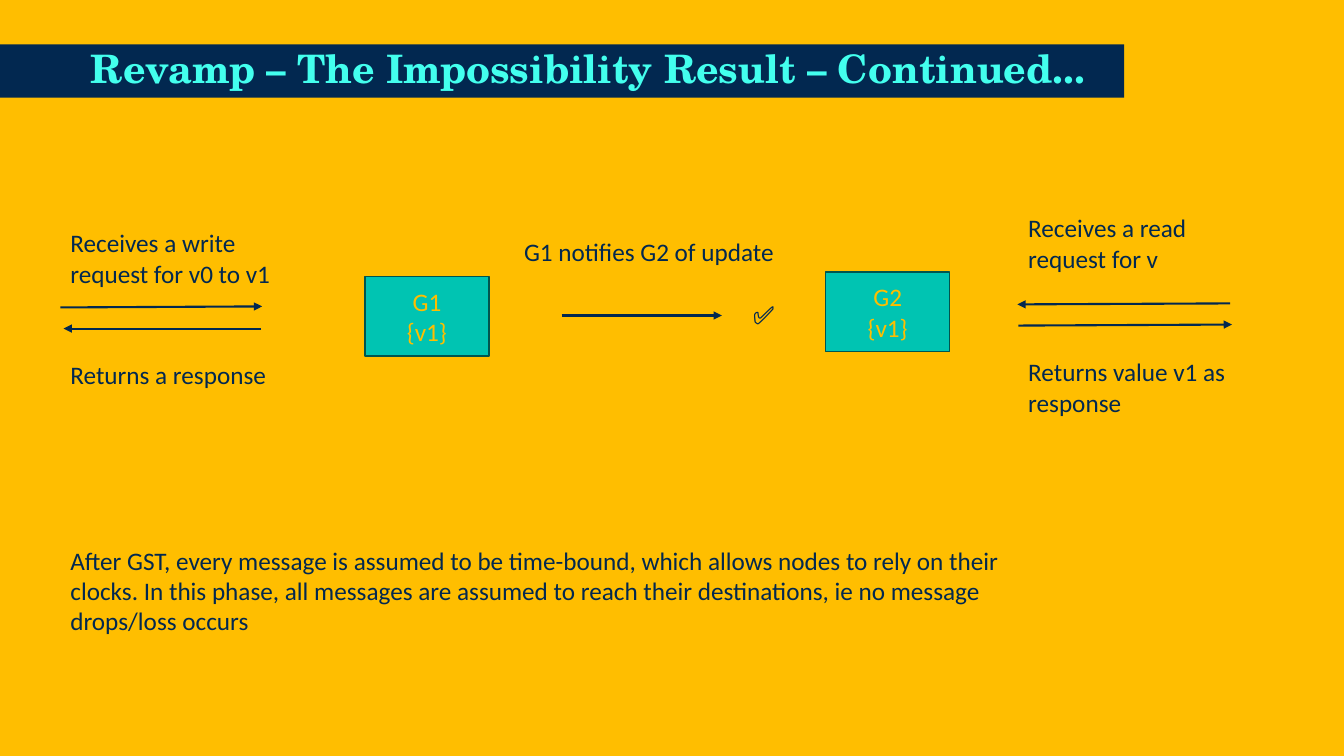
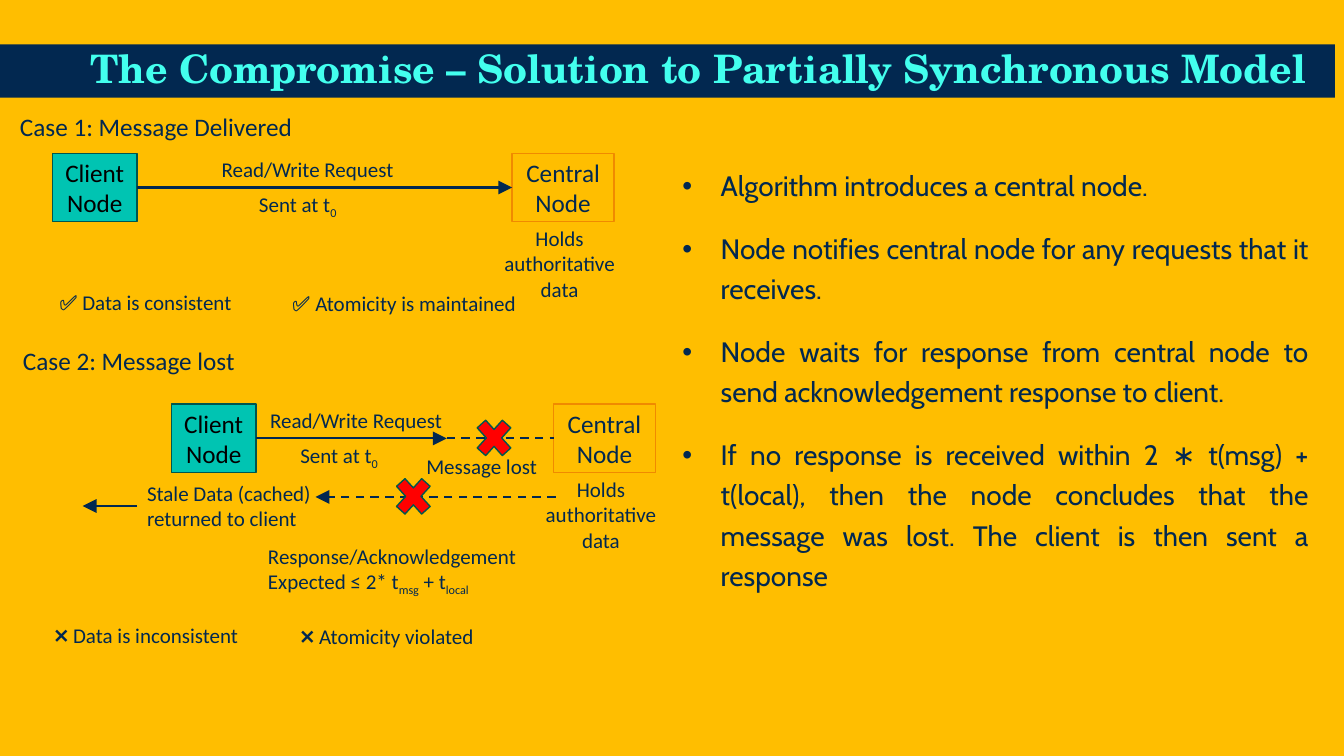
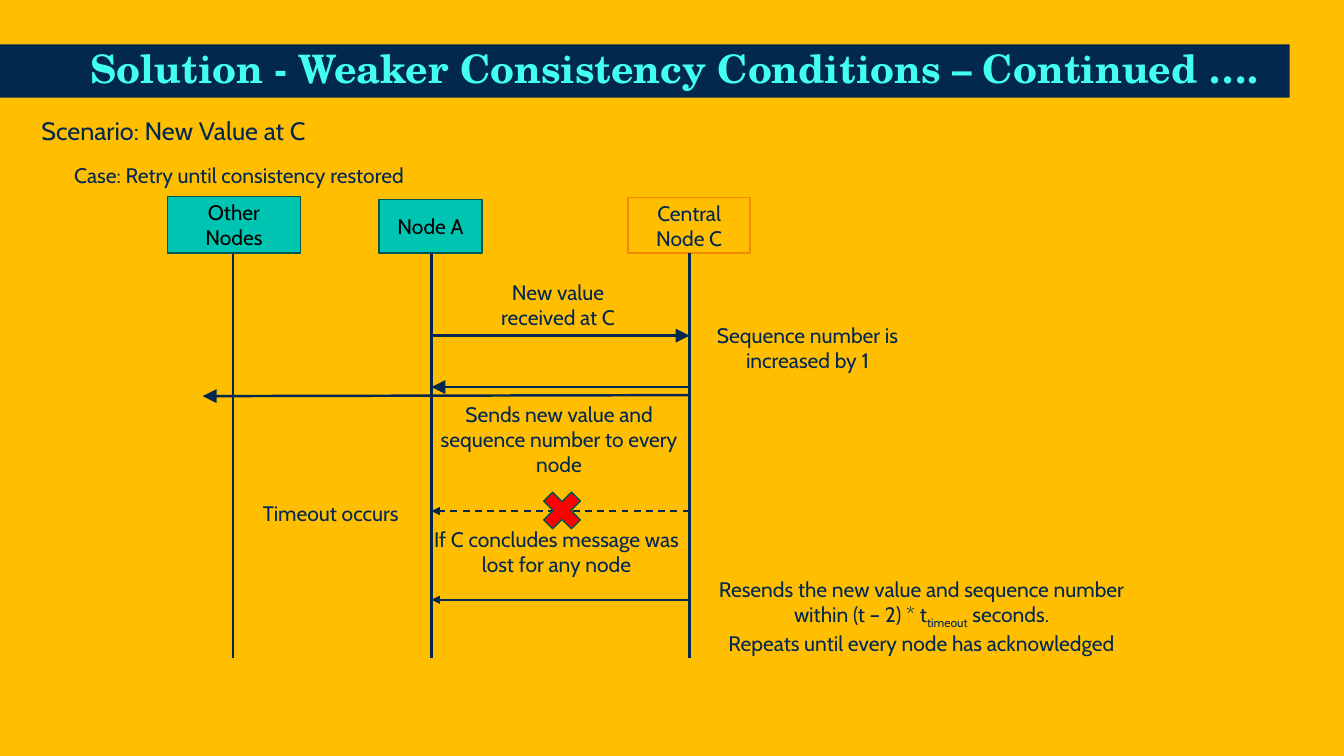
"""Build three slides on atomic reads and writes in partially synchronous networks."""
from dataclasses import dataclass
from typing import Any, NamedTuple

from lxml.etree import SubElement
from pptx import Presentation
from pptx.dml.color import RGBColor as Rgb
from pptx.enum.dml import MSO_LINE_DASH_STYLE as Dash
from pptx.enum.shapes import MSO_CONNECTOR as Connector, MSO_SHAPE as Preset
from pptx.enum.text import MSO_ANCHOR as Anchor, MSO_AUTO_SIZE as AutoSize, PP_ALIGN as Align
from pptx.oxml.ns import qn
from pptx.util import Inches, Pt


@dataclass(frozen=True)
class Theme:
    """Hold the colours, fonts and type sizes of the deck."""
    gold: Rgb = Rgb(0xFF, 0xBE, 0x00)
    navy: Rgb = Rgb(0x02, 0x28, 0x50)
    aqua: Rgb = Rgb(0x43, 0xFF, 0xEE)
    teal: Rgb = Rgb(0x00, 0xC4, 0xB2)
    pine: Rgb = Rgb(0x00, 0x56, 0x4E)
    orange: Rgb = Rgb(0xF0, 0x8A, 0x00)
    red: Rgb = Rgb(0xFF, 0x00, 0x00)
    black: Rgb = Rgb(0x00, 0x00, 0x00)
    display: str = "TeX Gyre Schola"
    diagram: str = "Calibri"
    body: str = "Cabin"
    title_size: int = 28
    bullet_size: int = 20
    label_size: int = 18
    small_size: int = 15


THEME = Theme()


class Area(NamedTuple):
    """Give left, top, width and height in inches."""
    left: float
    top: float
    width: float
    height: float


class Style(NamedTuple):
    """Describe how a text looks."""
    font: str
    size: int
    colour: Rgb = THEME.navy
    align: Align = Align.LEFT
    bold: bool = False


class Label(NamedTuple):
    """Pair a text, with subscripts between bars, and its area."""
    text: str
    area: Area


class Paint(NamedTuple):
    """Describe a fill and an outline."""
    fill: Rgb
    line: Rgb


class Arrow(NamedTuple):
    """Describe a line whose head, if any, is at its end."""
    start: tuple[float, float]
    end: tuple[float, float]
    width: float = 1.5
    head: str | None = "med"
    dashed: bool = False


TITLE = Style(THEME.display, THEME.title_size, THEME.aqua, bold=True)
BULLET = Style(THEME.body, THEME.bullet_size, align=Align.JUSTIFY)
LARGE = Style(THEME.diagram, THEME.label_size)
SMALL = Style(THEME.diagram, THEME.small_size)
LARGE_MID = LARGE._replace(align=Align.CENTER)
SMALL_MID = SMALL._replace(align=Align.CENTER)
STEP = SMALL_MID._replace(font=THEME.body)
SCENARIO = LARGE_MID._replace(font=THEME.body)
PEER = Paint(THEME.teal, THEME.pine)
CENTRAL = Paint(THEME.gold, THEME.orange)
CROSS = Paint(THEME.red, THEME.pine)


def apply(target: Any, values: dict[str, Any]) -> None:
    """Set each named attribute of the target."""
    for name, value in values.items():
        setattr(target, name, value)


def write(frame: Any, text: str, style: Style) -> None:
    """Fill a text frame, one paragraph a line."""
    for index, line in enumerate(text.split("\n")):
        para = frame.add_paragraph() if index else frame.paragraphs[0]
        para.alignment = style.align
        for order, part in enumerate(line.split("|")):
            if not part:
                continue
            span = para.add_run()
            span.text = part
            apply(span.font, {"name": style.font, "size": Pt(style.size), "bold": style.bold})
            span.font.color.rgb = style.colour
            if order % 2:
                span.font._element.set("baseline", "-25000")


def add_text(page: Any, label: Label, style: Style) -> Any:
    """Add a wrapped text box that fits its text."""
    box = page.shapes.add_textbox(*map(Inches, label.area))
    apply(box.text_frame, {"word_wrap": True, "auto_size": AutoSize.SHAPE_TO_FIT_TEXT})
    write(box.text_frame, label.text, style)
    return box


def add_labels(page: Any, labels: list[Label], style: Style) -> None:
    """Add several text boxes of one style."""
    for label in labels:
        add_text(page, label, style)


def add_preset(page: Any, preset: Preset, area: Area, paint: Paint) -> Any:
    """Add a painted preset shape."""
    shape = page.shapes.add_shape(preset, *map(Inches, area))
    shape.shadow.inherit = False
    shape.fill.solid()
    shape.fill.fore_color.rgb = paint.fill
    shape.line.color.rgb = paint.line
    shape.line.width = Pt(1)
    return shape


def add_node(page: Any, label: Label, paint: Paint, style: Style) -> None:
    """Add a node box with centred text."""
    node = add_preset(page, Preset.RECTANGLE, label.area, paint)
    apply(node.text_frame, {"word_wrap": True, "vertical_anchor": Anchor.MIDDLE})
    write(node.text_frame, label.text, style)


def add_arrows(page: Any, arrows: list[Arrow]) -> None:
    """Add straight lines with optional heads and dashes."""
    for arrow in arrows:
        line = page.shapes.add_connector(
            Connector.STRAIGHT, *map(Inches, (*arrow.start, *arrow.end)))
        line.line.color.rgb = THEME.navy
        line.line.width = Pt(arrow.width)
        if arrow.dashed:
            line.line.dash_style = Dash.DASH
        if arrow.head:
            SubElement(line.line._get_or_add_ln(), qn("a:tailEnd"),
                       type="triangle", w=arrow.head, len=arrow.head)
        SubElement(line._element.spPr, qn("a:effectLst"))


def add_page(deck: Any, title: str, band_width: float) -> Any:
    """Add a blank page with its title band."""
    page = deck.slides.add_slide(deck.slide_layouts[6])
    band = add_text(page, Label(title, Area(0, 0.44, band_width, 0.53)), TITLE)
    band.fill.solid()
    band.fill.fore_color.rgb = THEME.navy
    apply(band.text_frame, {
        "word_wrap": False, "vertical_anchor": Anchor.MIDDLE,
        "margin_left": Inches(0.9), "margin_right": Inches(0.2)})
    band.text_frame.paragraphs[0].line_spacing = 0.9
    return page


def add_bullets(page: Any, label: Label) -> None:
    """Add a justified bullet list."""
    box = page.shapes.add_textbox(*map(Inches, label.area))
    box.text_frame.word_wrap = True
    write(box.text_frame, label.text, BULLET)
    for para in box.text_frame.paragraphs:
        apply(para, {"line_spacing": 1.2, "space_after": Pt(16)})
        properties = para._p.get_or_add_pPr()
        properties.set("marL", str(Inches(0.38)))
        properties.set("indent", str(-Inches(0.38)))
        SubElement(properties, qn("a:buFont"), typeface="Arial")
        SubElement(properties, qn("a:buChar"), char="•")


def add_request(page: Any, client: float, central: float, caption: float,
                reach: float, top: float) -> None:
    """Add a client node, its request and the central node."""
    middle = top + 0.34
    add_node(page, Label("Client Node", Area(client, top, 0.84, 0.68)), PEER,
             LARGE_MID._replace(colour=THEME.black))
    add_node(page, Label("Central Node", Area(central, top, 1.01, 0.68)), CENTRAL, LARGE_MID)
    add_arrows(page, [Arrow((client + 0.84, middle), (reach, middle), head="lg")])
    add_labels(page, [
        Label("Read/Write Request", Area(caption, top - 0.02, 1.95, 0.35)),
        Label("Sent at t|0|", Area(central - 2.61, top + 0.33, 1.01, 0.35)),
    ], SMALL)
    add_text(page, Label("Holds authoritative data",
                         Area(central - 0.2, top + 0.67, 1.34, 0.86)), SMALL_MID)


def build_impossibility(deck: Any) -> None:
    """Draw the update passing from G1 to G2."""
    page = add_page(deck, "Revamp – The Impossibility Result – Continued...", 11.15)
    for name, left, top in (("G1", 3.62, 2.74), ("G2", 8.19, 2.7)):
        add_node(page, Label(f"{name}\n{{v1}}", Area(left, top, 1.23, 0.79)), PEER,
                 LARGE_MID._replace(colour=THEME.gold))
    add_arrows(page, [
        Arrow((5.57, 3.13), (7.16, 3.13)),
        Arrow((0.6, 3.05), (2.6, 3.04)),
        Arrow((2.59, 3.26), (0.63, 3.26)),
        Arrow((12.2, 3.01), (10.09, 3.02)),
        Arrow((10.1, 3.23), (12.22, 3.22)),
    ])
    add_labels(page, [
        Label("✅", Area(7.37, 2.92, 0.44, 0.4)),
        Label("Receives a write request for v0 to v1", Area(0.6, 2.21, 2.36, 0.71)),
        Label("Returns a response", Area(0.6, 3.52, 2.36, 0.4)),
        Label("G1 notifies G2 of update", Area(5.1, 2.3, 2.7, 0.4)),
        Label("Receives a read request for v", Area(10.1, 2.06, 2.36, 0.71)),
        Label("Returns value v1 as response", Area(10.1, 3.49, 2.36, 0.71)),
        Label("After GST, every message is assumed to be time-bound, which allows nodes to "
              "rely on their clocks. In this phase, all messages are assumed to reach their "
              "destinations, ie no message drops/loss occurs", Area(0.6, 5.36, 9.9, 1.01)),
    ], LARGE)


def build_compromise(deck: Any) -> None:
    """Draw the delivered and the lost message beside the algorithm."""
    page = add_page(deck, "The Compromise – Solution to Partially Synchronous Model", 13.24)
    add_bullets(page, Label(
        "Algorithm introduces a central node.\n"
        "Node notifies central node for any requests that it receives.\n"
        "Node waits for response from central node to send acknowledgement response to client.\n"
        "If no response is received within 2 ∗ t(msg) + t(local), then the node concludes "
        "that the message was lost. The client is then sent a response",
        Area(6.67, 1.56, 6.41, 4.39)))
    add_request(page, client=0.52, central=5.08, caption=2.1, reach=5.08, top=1.52)
    add_request(page, client=1.7, central=5.49, caption=2.58, reach=4.43, top=4.01)
    add_arrows(page, [
        Arrow((4.43, 4.35), (5.49, 4.35), head=None, dashed=True),
        Arrow((5.51, 4.93), (3.13, 4.93), head="lg", dashed=True),
        Arrow((1.36, 5.02), (0.82, 5.02), 1.75, "lg"),
    ])
    for left, top in ((4.66, 4.08), (3.86, 4.66)):
        add_preset(page, Preset.MATH_MULTIPLY, Area(left, top, 0.48, 0.53), CROSS)
    add_labels(page, [
        Label("Case 1: Message Delivered", Area(0.1, 1.06, 3.04, 0.4)),
        Label("Case 2: Message lost", Area(0.13, 3.38, 3.04, 0.4)),
    ], LARGE)
    add_labels(page, [
        Label("✅ Data is consistent", Area(0.49, 2.82, 2.06, 0.35)),
        Label("✅ Atomicity is maintained", Area(2.8, 2.83, 2.49, 0.35)),
        Label("Message lost", Area(4.13, 4.45, 1.7, 0.35)),
        Label("Stale Data (cached) returned to client", Area(1.36, 4.72, 1.85, 0.61)),
        Label("Response/Acknowledgement\nExpected ≤ 2* t|msg| + t|local|",
              Area(2.56, 5.34, 3.24, 0.61)),
        Label("❌ Data is inconsistent", Area(0.44, 6.13, 2.2, 0.35)),
        Label("❌ Atomicity violated", Area(2.88, 6.14, 2.49, 0.35)),
    ], SMALL)


def build_weaker_consistency(deck: Any) -> None:
    """Draw the retry sequence between the nodes."""
    page = add_page(deck, "Solution - Weaker Consistency Conditions – Continued ….", 12.79)
    others, node_a, central = 2.31, 4.28, 6.84
    peer = STEP._replace(colour=THEME.black)
    add_node(page, Label("Other Nodes", Area(1.66, 1.95, 1.32, 0.56)), PEER, peer)
    add_node(page, Label("Node A", Area(3.76, 1.98, 1.02, 0.53)), PEER, peer)
    add_node(page, Label("Central Node C", Area(6.23, 1.96, 1.21, 0.55)), CENTRAL, STEP)
    add_arrows(page, [Arrow((x, 2.51), (x, 6.53), 1.75, None)
                      for x in (others, node_a, central)])
    add_arrows(page, [
        Arrow((node_a, 3.33), (central, 3.33), 1.75, "lg"),
        Arrow((central, 3.84), (node_a, 3.84), 1.75, "lg"),
        Arrow((6.85, 3.92), (2.01, 3.93), 1.75, "lg"),
        Arrow((central, 5.07), (node_a, 5.07), 1.25, dashed=True),
        Arrow((central, 5.95), (node_a, 5.95), 1.25),
    ])
    add_preset(page, Preset.MATH_MULTIPLY, Area(5.31, 4.8, 0.53, 0.53), CROSS)
    add_text(page, Label("Scenario: New Value at C", Area(0.26, 1.09, 2.92, 0.4)), SCENARIO)
    add_labels(page, [
        Label("Case: Retry until consistency restored", Area(0.41, 1.56, 3.92, 0.35)),
        Label("New value received at C", Area(4.8, 2.72, 1.47, 0.61)),
        Label("Sequence number is increased by 1", Area(6.98, 3.15, 2.06, 0.61)),
        Label("Sends new value and sequence number to every node",
              Area(4.25, 3.93, 2.59, 0.86)),
        Label("Timeout occurs", Area(2.47, 4.92, 1.62, 0.35)),
        Label("If C concludes message was lost for any node", Area(4.17, 5.17, 2.7, 0.61)),
        Label("Resends the new value and sequence number within (t – 2) * t|timeout| seconds.\n"
              "Repeats until every node has acknowledged", Area(6.98, 5.67, 4.32, 0.86)),
    ], STEP)


def main() -> None:
    """Build and save the deck."""
    deck = Presentation()
    apply(deck, {"slide_width": Inches(13.33), "slide_height": Inches(7.5)})
    backdrop = deck.slide_master.background.fill
    backdrop.solid()
    backdrop.fore_color.rgb = THEME.gold
    for build in (build_impossibility, build_compromise, build_weaker_consistency):
        build(deck)
    deck.save("out.pptx")


if __name__ == "__main__":
    main()
